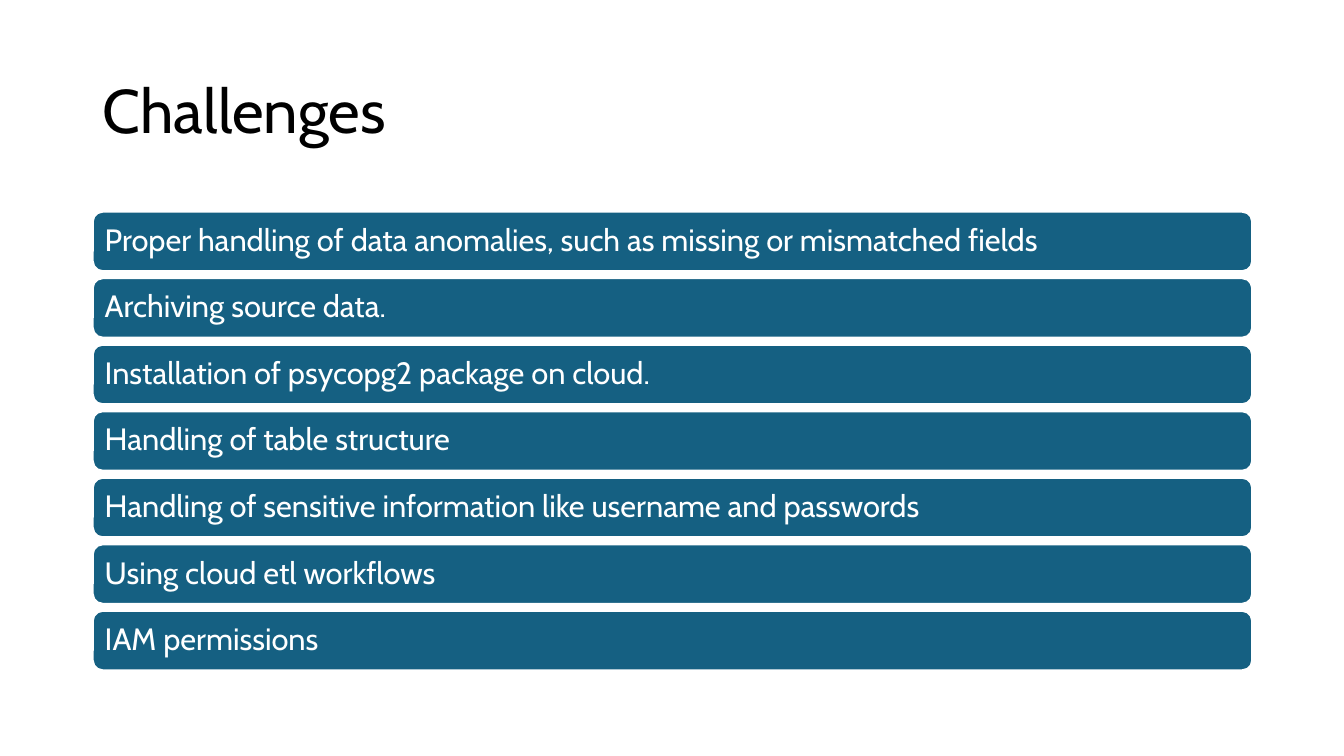
import dataclasses

import pptx
import pptx.dml.color
import pptx.enum.shapes
import pptx.enum.text
import pptx.util

Inches = pptx.util.Inches
Pt = pptx.util.Pt


@dataclasses.dataclass(frozen=True)
class Theme:
    font: str = "Cabin"
    title_color: str = "000000"
    bar_color: str = "156082"
    bar_text_color: str = "FFFFFF"
    outline_color: str = "FFFFFF"
    title_size: int = 44
    bar_text_size: int = 22
    outline_width: float = 1.5
    line_spacing: float = 0.9


def rgb(color):
    return pptx.dml.color.RGBColor.from_string(color)


class SlideBuilder:
    def __init__(self, slide, theme):
        self.slide = slide
        self.theme = theme

    def set_text(self, shape, text, size, color):
        """Put one left-aligned, vertically centred line of text in the shape."""
        frame = shape.text_frame
        frame.text = text
        frame.word_wrap = True
        frame.vertical_anchor = pptx.enum.text.MSO_ANCHOR.MIDDLE
        paragraph = frame.paragraphs[0]
        paragraph.alignment = pptx.enum.text.PP_ALIGN.LEFT
        paragraph.line_spacing = self.theme.line_spacing
        font = paragraph.runs[0].font
        font.name = self.theme.font
        font.size = Pt(size)
        font.color.rgb = rgb(color)

    def title(self, text, left, top, width, height):
        shape = self.slide.shapes.add_textbox(
            Inches(left), Inches(top), Inches(width), Inches(height))
        self.set_text(shape, text, self.theme.title_size, self.theme.title_color)

    def bar(self, text, left, top, width, height):
        shape = self.slide.shapes.add_shape(
            pptx.enum.shapes.MSO_SHAPE.ROUNDED_RECTANGLE,
            Inches(left), Inches(top), Inches(width), Inches(height))
        shape.shadow.inherit = False
        shape.fill.solid()
        shape.fill.fore_color.rgb = rgb(self.theme.bar_color)
        shape.line.color.rgb = rgb(self.theme.outline_color)
        shape.line.width = Pt(self.theme.outline_width)
        self.set_text(shape, text, self.theme.bar_text_size, self.theme.bar_text_color)
        frame = shape.text_frame
        frame.margin_left = frame.margin_right = Inches(0.09)
        frame.margin_top = frame.margin_bottom = Inches(0.09)


CHALLENGES = [
    "Proper handling of data anomalies, such as missing or mismatched fields",
    "Archiving source data.",
    "Installation of psycopg2 package on cloud.",
    "Handling of table structure",
    "Handling of sensitive information like username and passwords",
    "Using cloud etl workflows",
    "IAM permissions",
]
LEFT, WIDTH = 0.92, 11.5
FIRST_BAR_TOP, BAR_HEIGHT, BAR_PITCH = 2.1, 0.59, 0.66


def main():
    presentation = pptx.Presentation()
    presentation.slide_width = Inches(13.33)
    presentation.slide_height = Inches(7.5)
    slide = presentation.slides.add_slide(presentation.slide_layouts[6])
    builder = SlideBuilder(slide, Theme())

    builder.title("Challenges", LEFT, 0.4, WIDTH, 1.45)
    for index, challenge in enumerate(CHALLENGES):
        top = FIRST_BAR_TOP + index * BAR_PITCH
        builder.bar(challenge, LEFT, top, WIDTH, BAR_HEIGHT)

    presentation.save("out.pptx")


if __name__ == "__main__":
    main()
